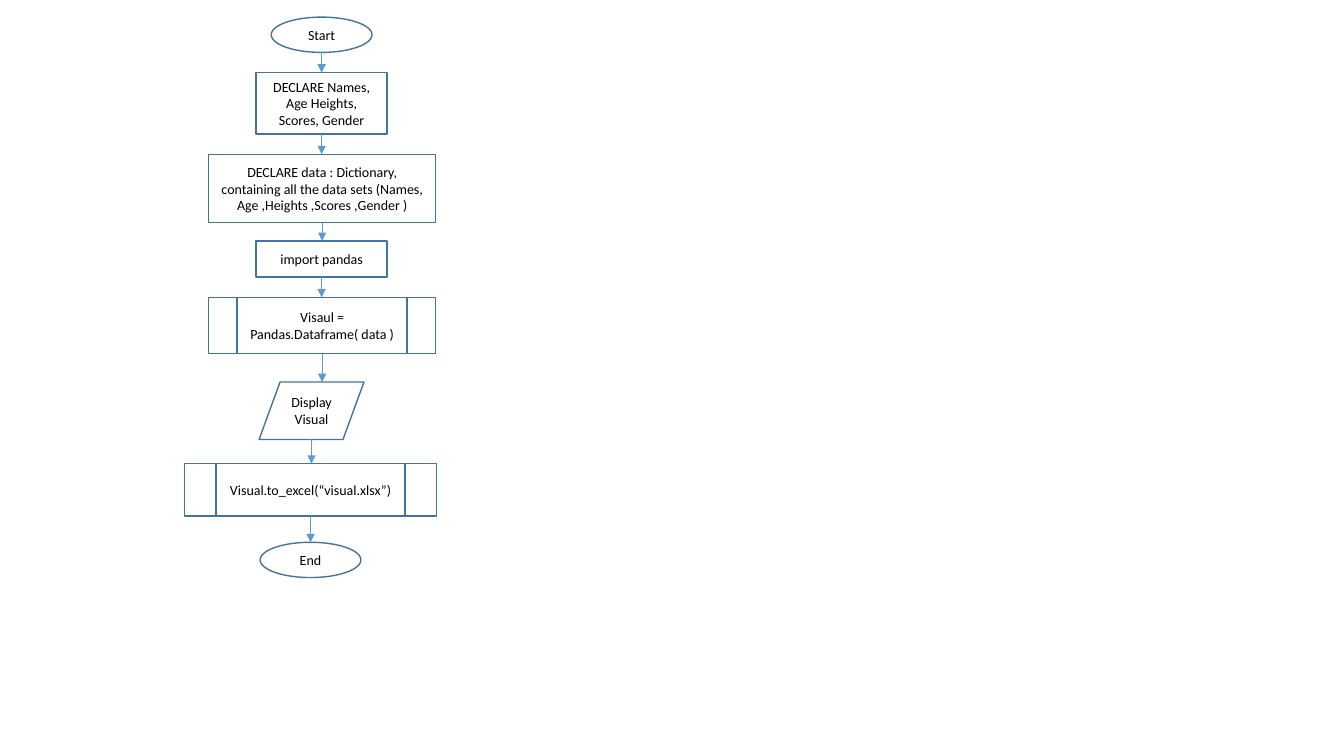
"""Builds a slide with a flowchart of turning lists into a data frame and saving it."""
import pptx
import pptx.dml.color
import pptx.enum.shapes
import pptx.enum.text
import pptx.oxml
import pptx.oxml.ns
import pptx.util

Inches = pptx.util.Inches
Pt = pptx.util.Pt
RGBColor = pptx.dml.color.RGBColor
Shape = pptx.enum.shapes.MSO_SHAPE

COLORS = {"fill": "FFFFFF", "outline": "43739E", "arrow": "5B9BD5", "text": "000000"}

STEPS = [
    (Shape.OVAL, 2.69, 0.17, 1.0, 0.35, "Start"),
    (Shape.RECTANGLE, 2.54, 0.72, 1.3, 0.61, "DECLARE Names, Age Heights, Scores, Gender"),
    (Shape.RECTANGLE, 2.07, 1.53, 2.25, 0.68,
     "DECLARE data : Dictionary, containing all the data sets (Names, Age ,Heights ,Scores ,Gender )"),
    (Shape.RECTANGLE, 2.54, 2.39, 1.3, 0.36, "import pandas"),
    (Shape.FLOWCHART_PREDEFINED_PROCESS, 2.07, 2.95, 2.25, 0.56, "Visaul = Pandas.Dataframe( data )"),
    (Shape.FLOWCHART_DATA, 2.57, 3.79, 1.04, 0.57, "Display Visual"),
    (Shape.FLOWCHART_PREDEFINED_PROCESS, 1.83, 4.6, 2.5, 0.52, "Visual.to_excel(“visual.xlsx”)"),
    (Shape.OVAL, 2.58, 5.38, 1.0, 0.35, "End"),
]

presentation = pptx.Presentation()
presentation.slide_width = Inches(13.33)
presentation.slide_height = Inches(7.5)
slide = presentation.slides.add_slide(presentation.slide_layouts[6])

for kind, left, top, width, height, wording in STEPS:
    step = slide.shapes.add_shape(kind, Inches(left), Inches(top), Inches(width), Inches(height))
    step.shadow.inherit = False
    step.fill.solid()
    step.fill.fore_color.rgb = RGBColor.from_string(COLORS["fill"])
    step.line.color.rgb = RGBColor.from_string(COLORS["outline"])
    step.line.width = Pt(1)
    step.text_frame.text = wording
    step.text_frame.word_wrap = True
    step.text_frame.vertical_anchor = pptx.enum.text.MSO_ANCHOR.MIDDLE
    paragraph = step.text_frame.paragraphs[0]
    paragraph.alignment = pptx.enum.text.PP_ALIGN.CENTER
    font = paragraph.runs[0].font
    font.name = "Calibri"
    font.size = Pt(10)
    font.color.rgb = RGBColor.from_string(COLORS["text"])

for upper, lower in zip(STEPS, STEPS[1:]):
    _, left, top, width, height, _ = upper
    center = Inches(left + width / 2)
    arrow = slide.shapes.add_connector(
        pptx.enum.shapes.MSO_CONNECTOR.STRAIGHT, center, Inches(top + height), center, Inches(lower[2]))
    arrow.line.color.rgb = RGBColor.from_string(COLORS["arrow"])
    arrow.line.width = Pt(0.5)
    arrowhead = pptx.oxml.parse_xml(f'<a:tailEnd {pptx.oxml.ns.nsdecls("a")} type="triangle"/>')
    arrow.line._get_or_add_ln().append(arrowhead)
    no_shadow = pptx.oxml.parse_xml(f'<a:effectLst {pptx.oxml.ns.nsdecls("a")}/>')
    arrow._element.spPr.append(no_shadow)

presentation.save("out.pptx")
